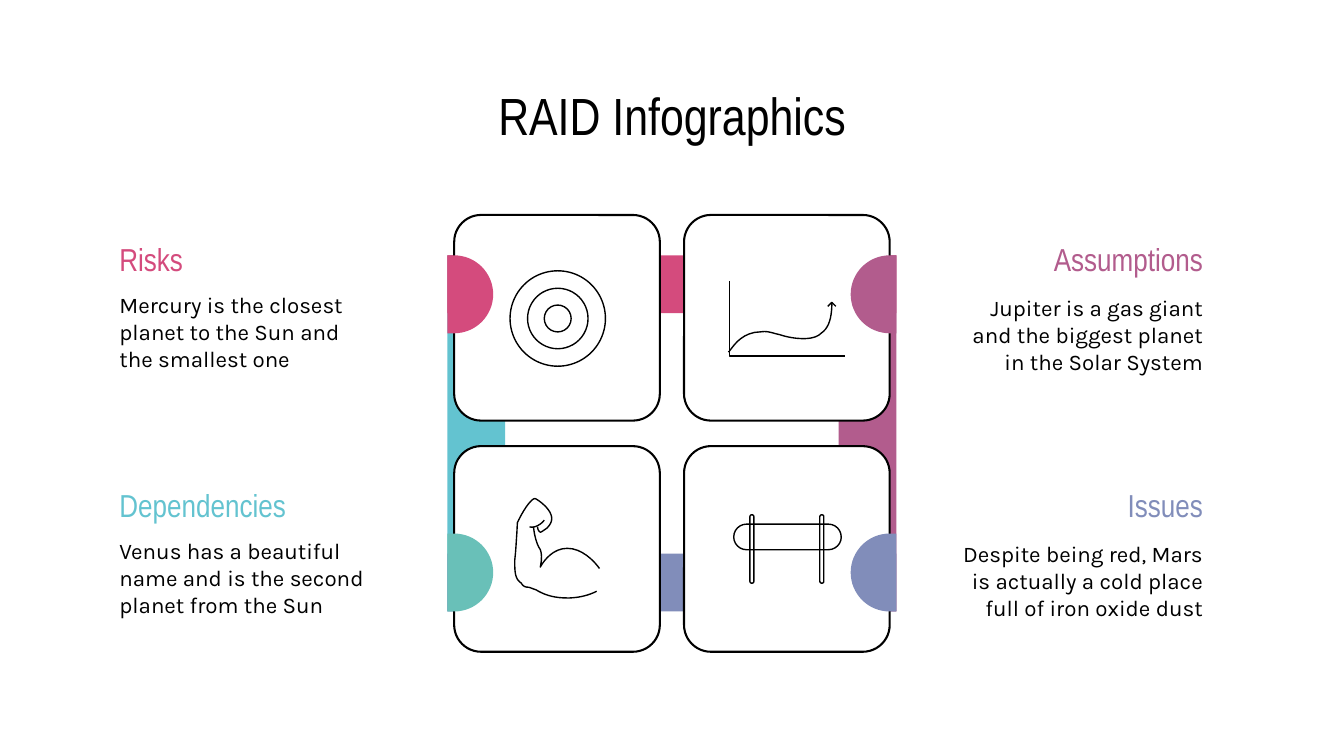
from dataclasses import dataclass
from math import cos, pi, sin

from pptx import Presentation
from pptx.dml.color import RGBColor
from pptx.enum.shapes import MSO_SHAPE
from pptx.enum.text import MSO_ANCHOR, PP_ALIGN
from pptx.util import Inches, Pt


@dataclass(frozen=True)
class Theme:
    """Colours, fonts and sizes of the slide."""
    ink: str = "000000"
    paper: str = "FFFFFF"
    pink: str = "D44B7D"
    plum: str = "B25C8D"
    cyan: str = "63C3D0"
    green: str = "69C0B8"
    violet: str = "818DBA"
    heading_font: str = "Arial Narrow"
    body_font: str = "Karla"
    title_size: float = 28
    heading_size: float = 17
    body_size: float = 12
    panel_line: float = 1.11
    icon_line: float = 0.75


THEME = Theme()
PANEL = 1.53
COLUMNS = (3.38, 5.09)
ROWS = (1.6, 3.32)
FRAME_LEFT, FRAME_RIGHT = 3.33, 6.67
FRAME_TOP, FRAME_BOTTOM = 1.9, 4.55
BAND = 0.43
TAB_RADIUS = 0.29

TREND = ((5.42, 2.62), [
    ((5.44, 2.61), (5.5, 2.47), (5.66, 2.47)),
    ((5.71, 2.46), (5.75, 2.48), (5.8, 2.49)),
    ((5.86, 2.51), (5.92, 2.52), (5.98, 2.52)),
    ((6.03, 2.52), (6.08, 2.51), (6.11, 2.48)),
    ((6.17, 2.44), (6.19, 2.36), (6.19, 2.25))])
BICEPS = ((3.97, 3.92), [
    ((3.97, 3.93), (3.98, 4.03), (4.02, 4.09)),
    ((4.04, 4.14), (4.02, 4.22), (4.02, 4.22)),
    ((4.02, 4.22), (4.09, 4.08), (4.22, 4.08)),
    ((4.36, 4.08), (4.46, 4.23), (4.46, 4.23))])
FOREARM = ((4.44, 4.4), [
    ((4.36, 4.44), (4.28, 4.45), (4.22, 4.45)),
    ((4.11, 4.45), (4.04, 4.42), (3.99, 4.39)),
    ((3.96, 4.38), (3.94, 4.37), (3.93, 4.37)),
    ((3.89, 4.37), (3.88, 4.34), (3.88, 4.34)),
    ((3.83, 4.31), (3.83, 4.25), (3.83, 4.17)),
    ((3.84, 4.09), (3.85, 3.89), (3.85, 3.89)),
    ((3.88, 3.82), (3.95, 3.71), (3.98, 3.71)),
    ((3.99, 3.71), (4.08, 3.77), (4.1, 3.83)),
    ((4.12, 3.88), (4.08, 3.92), (4.07, 3.93)),
    ((4.04, 3.95), (4.03, 3.96), (4.02, 3.96)),
    ((4.0, 3.95), (4.0, 3.92), (4.0, 3.92))])
FINGERS = ((3.94, 3.92), [((3.97, 3.93), (4.02, 3.91), (4.05, 3.87))])


def paint(shape, fill=None, line_width=None):
    """Set the fill and outline of a shape, leaving out what is not given."""
    shape.shadow.inherit = False
    if fill:
        shape.fill.solid()
        shape.fill.fore_color.rgb = RGBColor.from_string(fill)
    else:
        shape.fill.background()
    if line_width:
        shape.line.color.rgb = RGBColor.from_string(THEME.ink)
        shape.line.width = Pt(line_width)
    else:
        shape.line.fill.background()


def add_preset(slide, kind, box, fill=None, line_width=None):
    """Add a preset shape in a box given in inches."""
    shape = slide.shapes.add_shape(kind, *map(Inches, box))
    paint(shape, fill, line_width)
    return shape


def add_outline(slide, points, fill=None, line_width=None):
    """Add a freeform through points, closed when it is filled."""
    start, *rest = [(Inches(x), Inches(y)) for x, y in points]
    builder = slide.shapes.build_freeform(*start)
    builder.add_line_segments(rest, close=bool(fill))
    paint(builder.convert_to_shape(), fill, line_width)


def add_curve(slide, curve, steps=10):
    """Draw a chain of cubic curves as a thin stroke."""
    start, segments = curve
    points = [start]
    for first, second, end in segments:
        corners = (points[-1], first, second, end)
        for step in range(1, steps + 1):
            t = step / steps
            weights = ((1 - t) ** 3, 3 * t * (1 - t) ** 2, 3 * t * t * (1 - t), t ** 3)
            points.append(tuple(sum(w * corner[axis] for w, corner in zip(weights, corners))
                                for axis in (0, 1)))
    add_outline(slide, points, line_width=THEME.icon_line)


def add_label(slide, box, words, font, size, color, align, anchor=MSO_ANCHOR.MIDDLE):
    """Add one paragraph of wrapped text."""
    frame = slide.shapes.add_textbox(*map(Inches, box)).text_frame
    frame.word_wrap = True
    frame.vertical_anchor = anchor
    frame.margin_left = frame.margin_right = Inches(0.1)
    frame.margin_top = frame.margin_bottom = Inches(0.1)
    paragraph = frame.paragraphs[0]
    paragraph.alignment = align
    run = paragraph.add_run()
    run.text = words
    run.font.name = font
    run.font.size = Pt(size)
    run.font.color.rgb = RGBColor.from_string(color)


def add_topic(slide, left, top, heading, body, color, align, body_anchor):
    """Add a coloured heading with its description."""
    add_label(slide, (left, top, 2.06, 0.47), heading, THEME.heading_font,
              THEME.heading_size, color, align)
    add_label(slide, (left, top + 0.38, 2.06, 0.84), body, THEME.body_font,
              THEME.body_size, THEME.ink, align, body_anchor)


def add_bands(slide):
    """Add the four coloured bands behind the panels."""
    width, height = FRAME_RIGHT - FRAME_LEFT, FRAME_BOTTOM - FRAME_TOP
    for box, color in (
            ((FRAME_LEFT, FRAME_TOP, BAND, height), THEME.cyan),
            ((FRAME_LEFT, FRAME_TOP, width, BAND), THEME.pink),
            ((FRAME_LEFT, FRAME_BOTTOM - BAND, width, BAND), THEME.violet),
            ((FRAME_RIGHT - BAND, FRAME_TOP, BAND, height), THEME.plum)):
        add_preset(slide, MSO_SHAPE.RECTANGLE, box, color)


def add_tab(slide, edge, inward, middle, color):
    """Add a half-round tab that points inward from the frame edge."""
    center = edge + inward * 0.05
    angles = [pi * (step / 32 - 0.5) for step in range(33)]
    arc = [(center + inward * TAB_RADIUS * cos(a), middle + TAB_RADIUS * sin(a)) for a in angles]
    add_outline(slide, [(edge, middle - TAB_RADIUS), *arc, (edge, middle + TAB_RADIUS)], color)


def add_target(slide):
    """Draw the target icon."""
    for diameter in (0.71, 0.45, 0.2):
        box = (4.15 - diameter / 2, 2.37 - diameter / 2, diameter, diameter)
        add_preset(slide, MSO_SHAPE.OVAL, box, line_width=THEME.icon_line)


def add_graph(slide):
    """Draw the rising graph icon."""
    add_outline(slide, [(5.43, 2.09), (5.43, 2.65), (6.29, 2.65)], line_width=THEME.icon_line)
    add_outline(slide, [(6.16, 2.28), (6.19, 2.25), (6.22, 2.28)], line_width=THEME.icon_line)
    add_curve(slide, TREND)


def add_barrier(slide):
    """Draw the barrier icon."""
    for box in ((5.46, 3.9, 0.8, 0.19), (5.58, 3.83, 0.03, 0.51), (6.1, 3.83, 0.03, 0.51)):
        bar = add_preset(slide, MSO_SHAPE.ROUNDED_RECTANGLE, box, line_width=THEME.icon_line)
        bar.adjustments[0] = 0.5


def main():
    """Build and save the slide."""
    deck = Presentation()
    deck.slide_width = Inches(10)
    deck.slide_height = Inches(10 * 9 / 16)
    slide = deck.slides.add_slide(deck.slide_layouts[6])

    add_label(slide, (0.78, 0.59, 8.44, 0.53), "RAID Infographics", THEME.heading_font,
              THEME.title_size, THEME.ink, PP_ALIGN.CENTER)
    left_side = (PP_ALIGN.LEFT, MSO_ANCHOR.TOP)
    right_side = (PP_ALIGN.RIGHT, MSO_ANCHOR.MIDDLE)
    for left, top, heading, body, color, side in (
            (0.79, 1.69, "Risks", "Mercury is the closest planet to the Sun and the smallest one",
             THEME.pink, left_side),
            (6.99, 1.69, "Assumptions",
             "Jupiter is a gas giant and the biggest planet in the Solar System",
             THEME.plum, right_side),
            (0.79, 3.52, "Dependencies",
             "Venus has a beautiful name and is the second planet from the Sun",
             THEME.cyan, left_side),
            (6.99, 3.52, "Issues",
             "Despite being red, Mars is actually a cold place full of iron oxide dust",
             THEME.violet, right_side)):
        add_topic(slide, left, top, heading, body, color, *side)

    add_bands(slide)
    for top in ROWS:
        for left in COLUMNS:
            panel = add_preset(slide, MSO_SHAPE.ROUNDED_RECTANGLE, (left, top, PANEL, PANEL),
                               THEME.paper, THEME.panel_line)
            panel.adjustments[0] = 0.2 / PANEL
    for middle, left_color, right_color in ((FRAME_TOP + TAB_RADIUS, THEME.pink, THEME.plum),
                                            (FRAME_BOTTOM - TAB_RADIUS, THEME.green, THEME.violet)):
        add_tab(slide, FRAME_LEFT, 1, middle, left_color)
        add_tab(slide, FRAME_RIGHT, -1, middle, right_color)

    add_target(slide)
    add_graph(slide)
    add_barrier(slide)
    for curve in (BICEPS, FOREARM, FINGERS):
        add_curve(slide, curve)
    deck.save("out.pptx")


if __name__ == "__main__":
    main()
